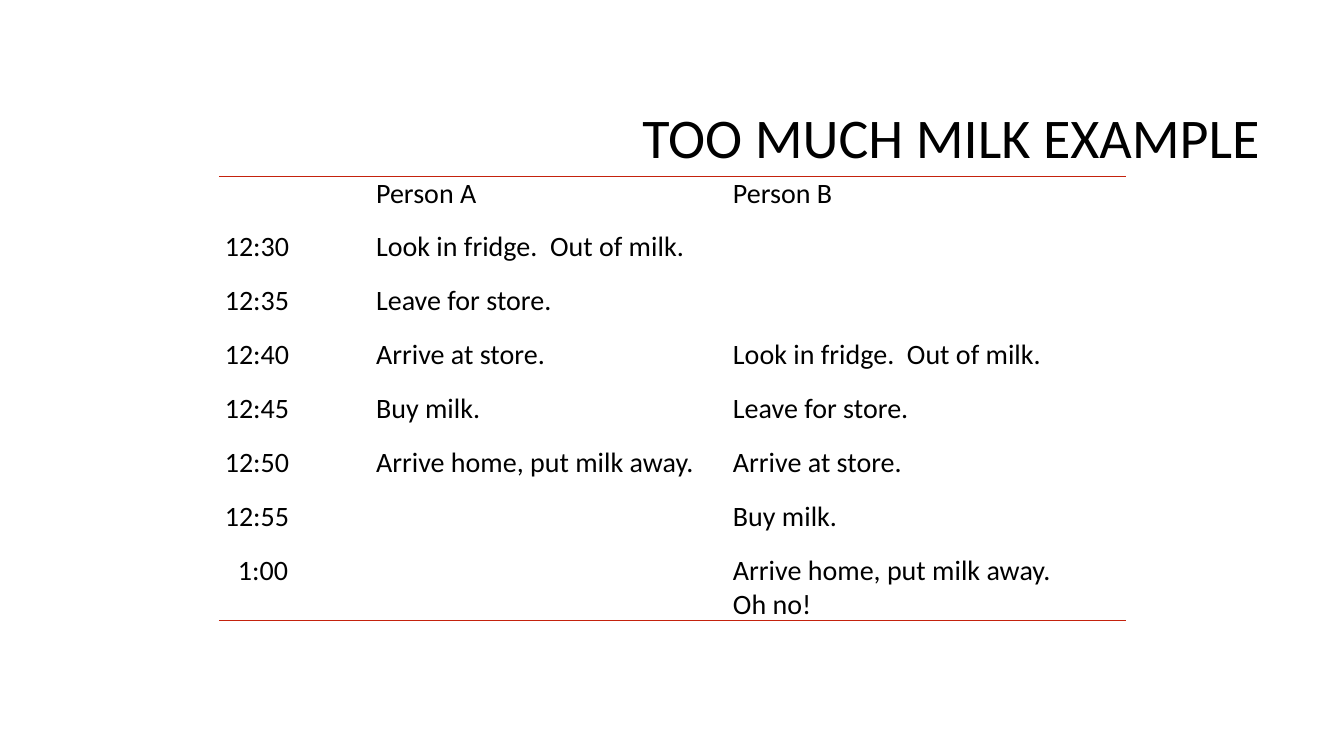
from lxml import etree
from pptx import Presentation
from pptx.dml.color import RGBColor
from pptx.enum import text
from pptx.oxml import ns
from pptx.util import Inches, Pt

TITLE = "TOO MUCH MILK EXAMPLE"
SCHEDULE = [
    ("", "Person A", "Person B"),
    ("12:30", "Look in fridge.  Out of milk.", ""),
    ("12:35", "Leave for store.", ""),
    ("12:40", "Arrive at store.", "Look in fridge.  Out of milk."),
    ("12:45", "Buy milk.", "Leave for store."),
    ("12:50", "Arrive home, put milk away.", "Arrive at store."),
    ("12:55", "", "Buy milk."),
    ("1:00", "", "Arrive home, put milk away.\nOh no!"),
]
THEME = {"font": "Calibri", "ink": "000000", "rule": "C4220D",
         "title": 40, "body": 20, "rule_width": 1}
TITLE_BOX = (3.17, 0.69, 9.42, 1.41)
TABLE_LEFT, TABLE_TOP = 2.17, 1.75
COLUMNS = (1.5, 3.54, 3.96)
STEPS_HEIGHT, LAST_HEIGHT = 3.74, 0.58
HOUR_INDENT = 0.13
MARGINS = {"margin_left": 0.06, "margin_right": 0.06,
           "margin_top": 0, "margin_bottom": 0}
NO_GRID_STYLE = "{2D5ABB26-0587-4C30-8999-92F81FD0307C}"


def write(frame, words, size):
    """Fill a text frame with words in the theme font."""
    frame.text = words
    for line in frame.paragraphs:
        for name, value in {"name": THEME["font"], "size": Pt(size)}.items():
            setattr(line.font, name, value)
        for run in line.runs:
            for name, value in {"name": THEME["font"], "size": Pt(size)}.items():
                setattr(run.font, name, value)
            run.font.color.rgb = RGBColor.from_string(THEME["ink"])


def add_rule(cell, side):
    """Draw a coloured border on the top (T) or bottom (B) of a cell."""
    border = etree.Element(ns.qn("a:ln" + side), w=str(Pt(THEME["rule_width"])))
    fill = etree.SubElement(border, ns.qn("a:solidFill"))
    etree.SubElement(fill, ns.qn("a:srgbClr"), val=THEME["rule"])
    cell._tc.get_or_add_tcPr().insert(0, border)


def add_title(slide):
    """Add the right-aligned title."""
    frame = slide.shapes.add_textbox(*map(Inches, TITLE_BOX)).text_frame
    frame.word_wrap = True
    frame.vertical_anchor = text.MSO_ANCHOR.MIDDLE
    write(frame, TITLE, THEME["title"])
    for name, value in {"alignment": text.PP_ALIGN.RIGHT, "line_spacing": 0.9}.items():
        setattr(frame.paragraphs[0], name, value)


def add_schedule(slide):
    """Add the timetable with a rule above and below it."""
    last = len(SCHEDULE) - 1
    table = slide.shapes.add_table(
        len(SCHEDULE), len(COLUMNS), Inches(TABLE_LEFT), Inches(TABLE_TOP),
        Inches(sum(COLUMNS)), Inches(STEPS_HEIGHT + LAST_HEIGHT)).table
    table.first_row = table.horz_banding = False
    table._tbl.tblPr.find(ns.qn("a:tableStyleId")).text = NO_GRID_STYLE
    for column, width in zip(table.columns, COLUMNS):
        column.width = Inches(width)
    for i, entries in enumerate(SCHEDULE):
        table.rows[i].height = Inches(LAST_HEIGHT if i == last else STEPS_HEIGHT / last)
        for j, entry in enumerate(entries):
            cell = table.cell(i, j)
            cell.fill.background()
            for name, value in MARGINS.items():
                setattr(cell, name, Inches(value))
            write(cell.text_frame, entry, THEME["body"])
            if i in (0, last):
                add_rule(cell, "B" if i else "T")
    table.cell(last, 0).margin_left = Inches(MARGINS["margin_left"] + HOUR_INDENT)


deck = Presentation()
deck.slide_width, deck.slide_height = Inches(13.33), Inches(7.5)
milk_slide = deck.slides.add_slide(deck.slide_layouts[6])
add_title(milk_slide)
add_schedule(milk_slide)
deck.save("out.pptx")
